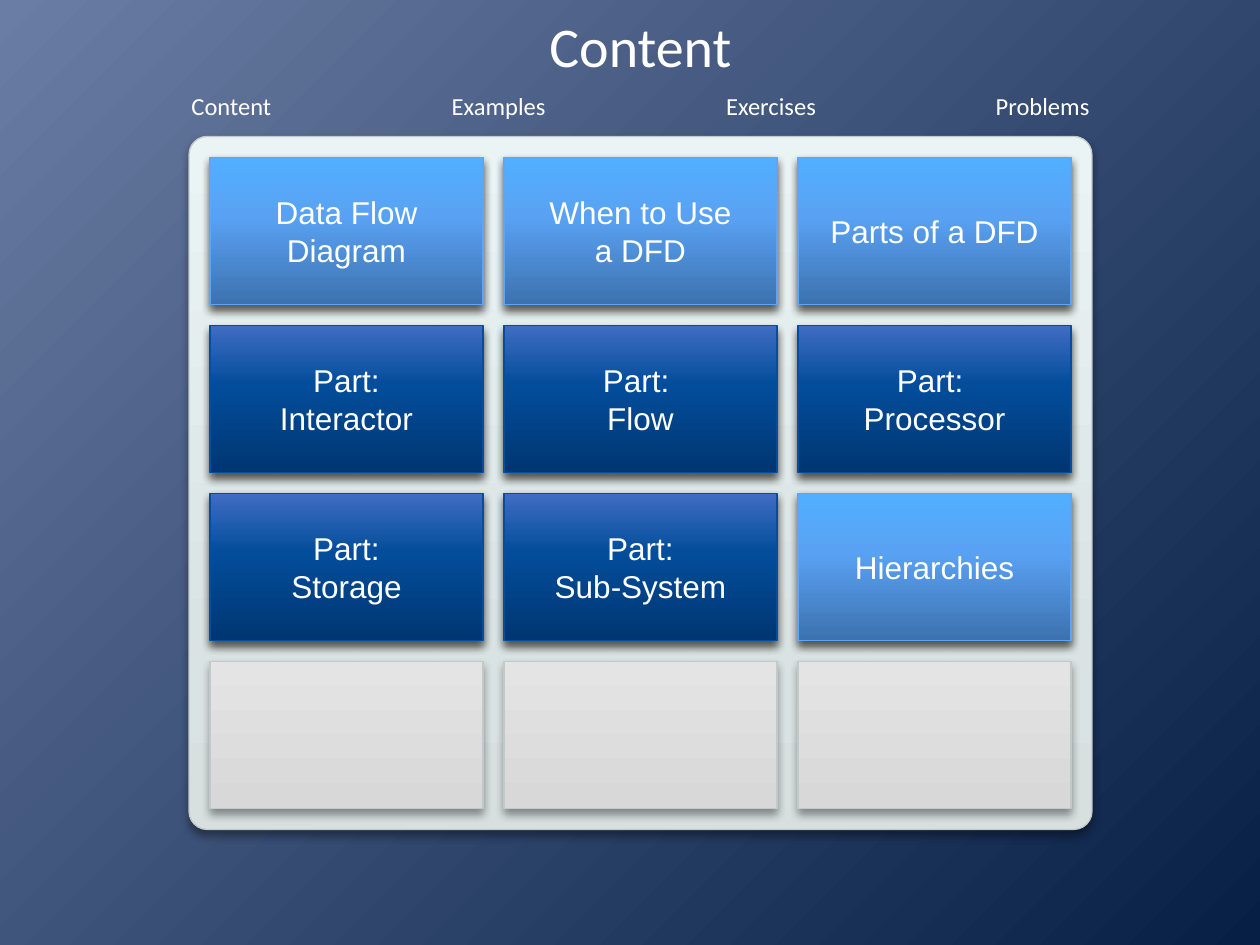
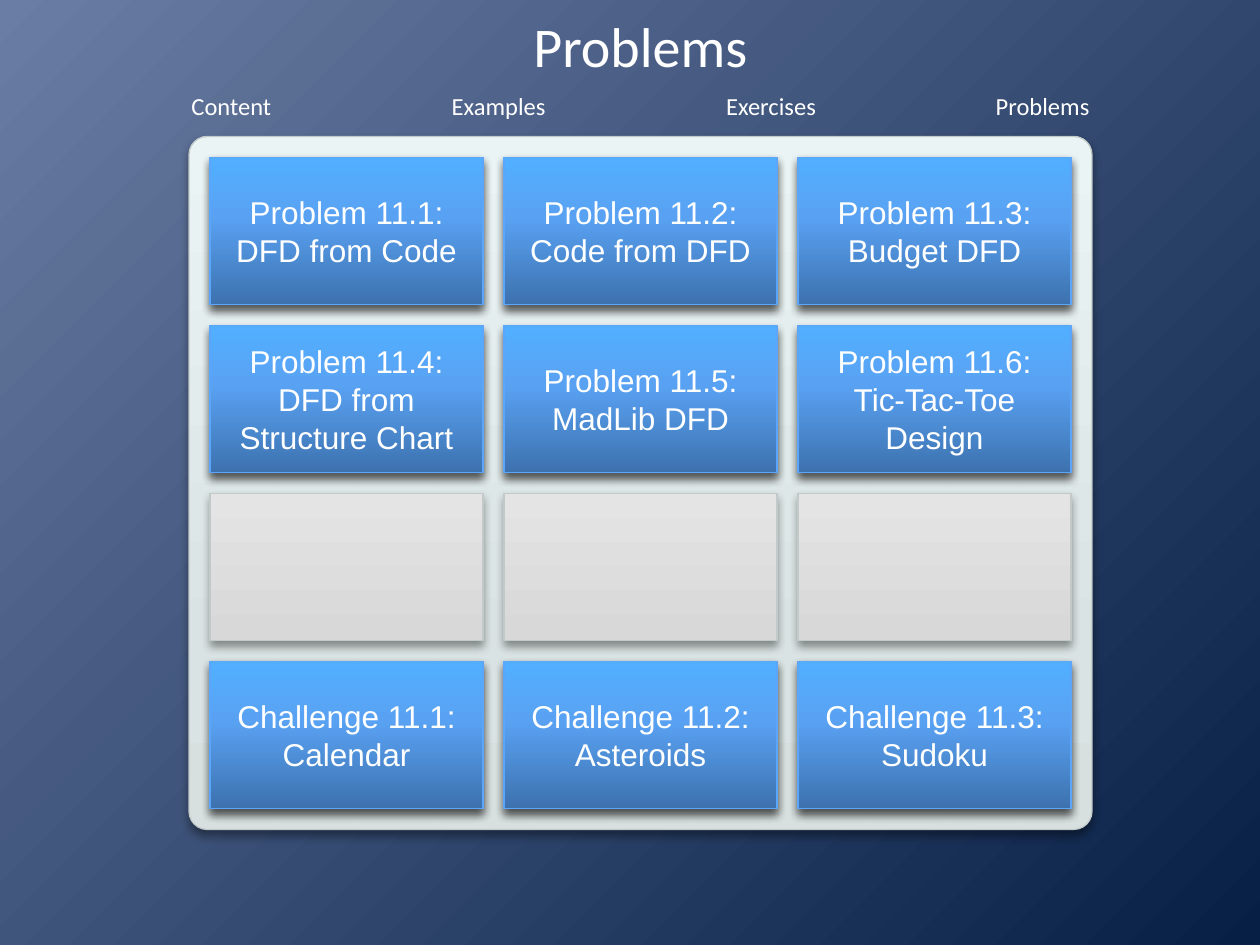
import pptx
import pptx.dml.color
import pptx.enum.shapes
import pptx.enum.text
import pptx.oxml
import pptx.oxml.ns
import pptx.util

COLORS = {
    "text": "FFFFFF",
    "backdrop": [(0, "6A7DA4"), (100, "071F45")],
    "panel": [(0, "D7DFDF"), (25, "DAE3E3"), (100, "EBF4F4")],
    "empty": [(0, "D8D8D8"), (1, "D8D8D8"), (100, "E4E4E4")],
    "light": [(0, "3D72AF"), (60, "59A2F3"), (100, "52AFFF")],
    "dark": [(0, "003671"), (60, "034D9B"), (100, "406DC3")],
}
LINES = {"panel": "C1C9C9", "empty": "C1C9C9", "light": "5BA6FA", "dark": "034EA0"}
UPWARD = '<a:lin ang="16200000" scaled="0"/>'
FROM_CORNER = '<a:path path="circle"><a:fillToRect r="100000" b="100000"/></a:path>'
SHADOW = ('<a:outerShdw {ns} blurRad="66040" dist="38100" dir="5400000" rotWithShape="0">'
          '<a:srgbClr val="000000"><a:alpha val="40000"/></a:srgbClr></a:outerShdw>')

# The slide is a grid of 60 columns and 45 rows of square cells.
GRID_COLUMNS = 60
TILE_COLUMNS, TILE_ROWS = 3, 4
MENU = [("Content", 5.04), ("Examples", 5.76), ("Exercises", 5.52), ("Problems", 5.7)]
MENU_LEFT, MENU_RIGHT = 8.5, 52.5

# Tiles by (column, row): style, then one string for each paragraph.
CONTENT = {
    (0, 0): ("light", "Data Flow Diagram"),
    (1, 0): ("light", "When to Use", "a DFD"),
    (2, 0): ("light", "Parts of a DFD"),
    (0, 1): ("dark", "Part:", "Interactor"),
    (1, 1): ("dark", "Part: \nFlow"),
    (2, 1): ("dark", "Part: ", "Processor"),
    (0, 2): ("dark", "Part:\nStorage"),
    (1, 2): ("dark", "Part:", "Sub-System"),
    (2, 2): ("light", "Hierarchies"),
}
PROBLEMS = {
    (0, 0): ("light", "Problem 11.1:\nDFD from Code"),
    (1, 0): ("light", "Problem 11.2:\nCode from DFD"),
    (2, 0): ("light", "Problem 11.3:\nBudget DFD"),
    (0, 1): ("light", "Problem 11.4:\nDFD from Structure Chart"),
    (1, 1): ("light", "Problem 11.5:\nMadLib DFD"),
    (2, 1): ("light", "Problem 11.6:\nTic-Tac-Toe Design"),
    (0, 3): ("light", "Challenge 11.1:\nCalendar"),
    (1, 3): ("light", "Challenge 11.2:\nAsteroids"),
    (2, 3): ("light", "Challenge 11.3:\nSudoku"),
}


def set_gradient(element, stops, direction):
    """Replace the first solid fill in element by a gradient."""
    ns = pptx.oxml.ns.nsdecls("a")
    marks = "".join(f'<a:gs pos="{pos * 1000}"><a:srgbClr val="{color}"/></a:gs>'
                    for pos, color in stops)
    gradient = pptx.oxml.parse_xml(
        f'<a:gradFill {ns} rotWithShape="1"><a:gsLst>{marks}</a:gsLst>{direction}</a:gradFill>')
    solid = next(element.iter(pptx.oxml.ns.qn("a:solidFill")))
    solid.getparent().replace(solid, gradient)


class Deck:
    def __init__(self):
        self.prs = pptx.Presentation()
        self.prs.slide_width = pptx.util.Inches(10)
        self.prs.slide_height = pptx.util.Inches(7.5)
        self.cell = self.prs.slide_width / GRID_COLUMNS
        master = self.prs.slide_master
        master.background.fill.solid()
        set_gradient(master.element, COLORS["backdrop"], FROM_CORNER)

    def box(self, *cells):
        return [round(n * self.cell) for n in cells]

    def new_slide(self, title):
        self.s = self.prs.slides.add_slide(self.prs.slide_layouts[5])
        sp = self.s.shapes.title
        sp.left, sp.top, sp.width, sp.height = self.box(9, 0.66, 43, 3)
        tf = sp.text_frame
        tf.margin_left = tf.margin_right = tf.margin_top = tf.margin_bottom = 0
        self.add_text(tf, [title], 32, "Calibri")

    def add_text(self, tf, paragraphs, size, font):
        tf.vertical_anchor = pptx.enum.text.MSO_ANCHOR.MIDDLE
        for i, text in enumerate(paragraphs):
            p = tf.add_paragraph() if i else tf.paragraphs[0]
            p.alignment = pptx.enum.text.PP_ALIGN.CENTER
            for j, line in enumerate(text.split("\n")):
                if j:
                    p.add_line_break()
                r = p.add_run()
                r.text = line
                r.font.size = pptx.util.Pt(size)
                r.font.name = font
                r.font.color.rgb = pptx.dml.color.RGBColor.from_string(COLORS["text"])

    def block(self, kind, style, *cells):
        sp = self.s.shapes.add_shape(kind, *self.box(*cells))
        sp.fill.solid()
        set_gradient(sp.element, COLORS[style], UPWARD)
        sp.line.color.rgb = pptx.dml.color.RGBColor.from_string(LINES[style])
        sp.line.width = pptx.util.Pt(0.75)
        sp.shadow.inherit = False
        effects = next(sp.element.iter(pptx.oxml.ns.qn("a:effectLst")))
        effects.append(pptx.oxml.parse_xml(SHADOW.format(ns=pptx.oxml.ns.nsdecls("a"))))
        return sp

    def panel(self):
        sp = self.block(pptx.enum.shapes.MSO_SHAPE.ROUNDED_RECTANGLE, "panel", 9, 6.5, 43, 33)
        sp.adjustments[0] = 0.86 / 33

    def tile(self, column, row, style, *paragraphs):
        sp = self.block(pptx.enum.shapes.MSO_SHAPE.RECTANGLE, style,
                        10 + 14 * column, 7.5 + 8 * row, 13, 7)
        sp.text_frame.word_wrap = True
        self.add_text(sp.text_frame, paragraphs, 18, "Arial")

    def menu(self):
        gap = (MENU_RIGHT - MENU_LEFT - sum(width for _, width in MENU)) / (len(MENU) - 1)
        left = MENU_LEFT
        for label, width in MENU:
            tf = self.s.shapes.add_textbox(*self.box(left, 4, width, 2.04)).text_frame
            tf.word_wrap = False
            tf.auto_size = pptx.enum.text.MSO_AUTO_SIZE.SHAPE_TO_FIT_TEXT
            self.add_text(tf, [label], 14, "Calibri")
            left += width + gap

    def board(self, title, tiles):
        """Add a slide with the menu and a panel of tiles over empty places."""
        self.new_slide(title)
        self.panel()
        for row in range(TILE_ROWS):
            for column in range(TILE_COLUMNS):
                self.tile(column, row, "empty")
        self.menu()
        for place, (style, *paragraphs) in tiles.items():
            self.tile(*place, style, *paragraphs)


def main():
    deck = Deck()
    deck.board("Content", CONTENT)
    deck.board("Problems", PROBLEMS)
    deck.prs.save("out.pptx")


if __name__ == "__main__":
    main()
